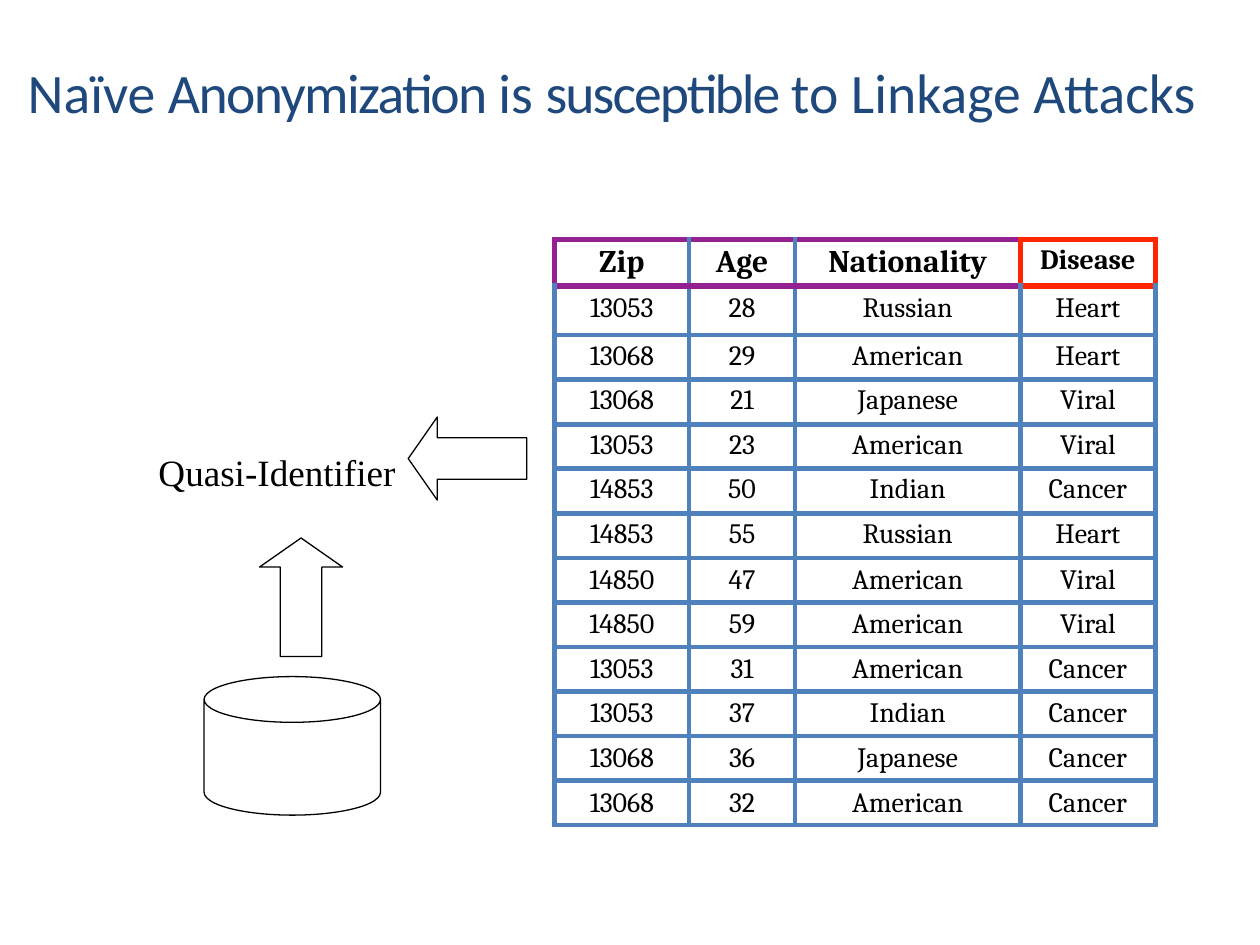
from lxml.etree import SubElement
from pptx import Presentation
from pptx.dml.color import RGBColor
from pptx.enum.shapes import MSO_SHAPE as Shape
from pptx.enum.text import MSO_ANCHOR as Anchor, MSO_AUTO_SIZE as Fit, PP_ALIGN as Align
from pptx.oxml.ns import qn
from pptx.util import Inches, Pt

BLACK, NAVY = "000000", "1F497D"
BLUE, PURPLE, RED = "4F81BD", "942192", "FF2600"

TITLE = [("Naïve ", 0), ("Anonymization ", -0.9), ("is ", 0),
         ("susceptible ", -1.1), ("to Linkage Attacks", 0)]
HEAD = ["Zip", "Age", "Nationality", "Disease"]
ROWS = [
    ("13053", "28", "Russian", "Heart"),
    ("13068", "29", "American", "Heart"),
    ("13068", "21", "Japanese", "Viral"),
    ("13053", "23", "American", "Viral"),
    ("14853", "50", "Indian", "Cancer"),
    ("14853", "55", "Russian", "Heart"),
    ("14850", "47", "American", "Viral"),
    ("14850", "59", "American", "Viral"),
    ("13053", "31", "American", "Cancer"),
    ("13053", "37", "Indian", "Cancer"),
    ("13068", "36", "Japanese", "Cancer"),
    ("13068", "32", "American", "Cancer"),
]


def color(code):
    return RGBColor.from_string(code)


def write(para, text, font="Cambria", size=16, tint=BLACK, bold=False,
          align=Align.LEFT, gap=0):
    """Add a run; gap is the letter spacing in points."""
    para.alignment = align
    run = para.add_run()
    run.text = text
    run.font.name, run.font.size, run.font.bold = font, Pt(size), bold
    run.font.color.rgb = color(tint)
    if gap:
        run.font._element.set("spc", str(round(gap * 100)))


def edge(cell, side, tint, width=3):
    line = SubElement(cell._tc.get_or_add_tcPr(), qn(f"a:ln{side}"), w=str(Pt(width)))
    fill = SubElement(line, qn("a:solidFill"))
    SubElement(fill, qn("a:srgbClr"), val=tint)


def outline(slide, kind, left, top, width, height, *adjust):
    shape = slide.shapes.add_shape(
        kind, Inches(left), Inches(top), Inches(width), Inches(height))
    shape.shadow.inherit = False
    shape.fill.background()
    shape.line.color.rgb = color(BLACK)
    shape.line.width = Pt(0.75)
    for i, value in enumerate(adjust):
        shape.adjustments[i] = value


def add_title(slide, left, top, width, height):
    title = slide.shapes.title
    title.left, title.top = Inches(left), Inches(top)
    title.width, title.height = Inches(width), Inches(height)
    frame = title.text_frame
    frame.auto_size, frame.word_wrap = Fit.NONE, True
    frame.vertical_anchor = Anchor.TOP
    frame.margin_left = frame.margin_right = frame.margin_bottom = 0
    frame.margin_top = Inches(0.01)
    for text, gap in TITLE:
        write(frame.paragraphs[0], text, font="Calibri", size=31.8, tint=NAVY, gap=gap)


def add_flow(slide, left, top):
    # Label
    box = slide.shapes.add_textbox(
        Inches(left), Inches(top + 0.21), Inches(2.13), Inches(0.46))
    box.text_frame.word_wrap = False
    write(box.text_frame.paragraphs[0], "Quasi-Identifier",
          font="Times New Roman", size=21.2)
    # Arrows that lead to the label
    outline(slide, Shape.LEFT_ARROW, left + 2.08, top, 0.94, 0.66, 0.5, 0.35)
    outline(slide, Shape.UP_ARROW, left + 0.9, top + 0.96, 0.66, 0.94, 0.5, 0.35)
    # Database
    outline(slide, Shape.CAN, left + 0.46, top + 2.06, 1.4, 1.1, 0.33)


def tint_of(row, col):
    """Colour of the edges around a header cell, or of the plain grid."""
    if row:
        return BLUE
    return RED if col == 3 else PURPLE


def add_data(slide, left, top, width, height):
    grid = [HEAD, *ROWS]
    table = slide.shapes.add_table(
        len(grid), len(HEAD), Inches(left), Inches(top),
        Inches(width), Inches(height)).table
    table.first_row = table.horz_banding = False
    for col, size in zip(table.columns, (1.07, 0.84, 1.79, 1.07)):
        col.width = Inches(size)
    tall = [0.37, 0.39]
    rest = (height - sum(tall)) / (len(grid) - 2)
    for row, size in zip(table.rows, tall + [rest] * (len(grid) - 2)):
        row.height = Inches(size)

    for r, line in enumerate(grid):
        for c, text in enumerate(line):
            cell = table.cell(r, c)
            cell.margin_left = cell.margin_right = cell.margin_bottom = 0
            cell.margin_top = Inches(0.05 if r == 1 or r > 6 else 0.04)
            cell.vertical_anchor = Anchor.TOP
            write(cell.text_frame.paragraphs[0], text, bold=r == 0,
                  size=18 if r == 0 and c < 3 else 16, align=Align.CENTER)
            # Edges: the header has its own colours and a thicker base
            tint = tint_of(r, c)
            edge(cell, "L", tint if c in (0, 3) else BLUE)
            edge(cell, "R", RED if r == 0 and c > 1 else BLUE)
            edge(cell, "T", tint_of(max(r - 1, 0), c), 4.25 if r == 1 else 3)
            edge(cell, "B", tint, 4.25 if r == 0 else 3)
            cell.fill.background()


def main():
    deck = Presentation()
    deck.slide_width, deck.slide_height = Inches(10), Inches(7.5)
    slide = deck.slides.add_slide(deck.slide_layouts[5])
    add_title(slide, 0.22, 0.45, 9.34, 1.08)
    add_flow(slide, 1.16, 3.31)
    add_data(slide, 4.4, 1.9, 4.77, 4.65)
    deck.save("out.pptx")


if __name__ == "__main__":
    main()
